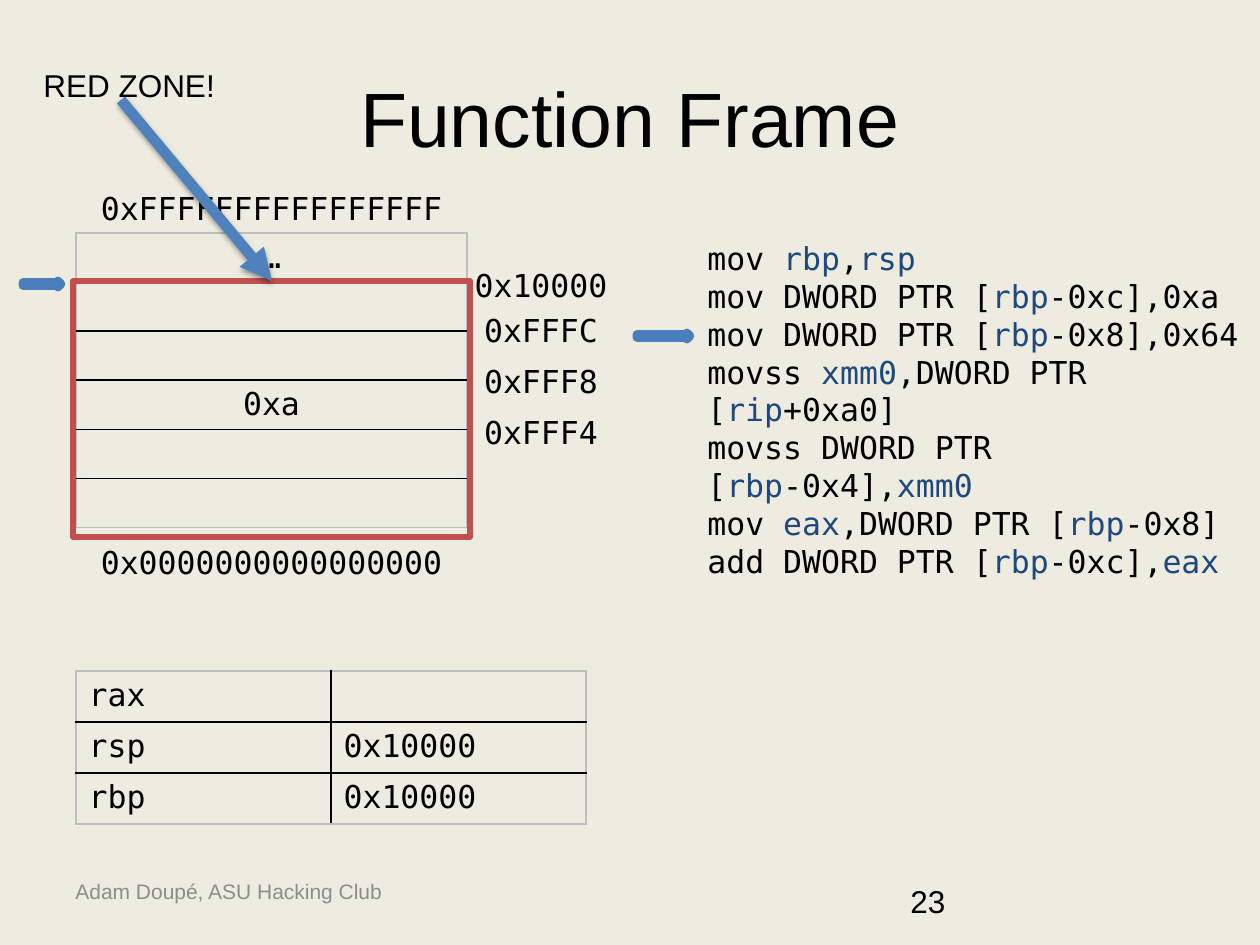
"""Build the Function Frame slide: stack, registers and assembly code."""
import pptx
import pptx.util
import pptx.dml.color
import pptx.enum.shapes
import pptx.enum.text
import pptx.oxml
import pptx.oxml.ns

PX = 914400 / 126
MONO = "DejaVu Sans Mono"
BLACK = "000000"
MID = pptx.enum.text.MSO_ANCHOR.MIDDLE
LEFT = pptx.enum.text.PP_ALIGN.LEFT
CENTER = pptx.enum.text.PP_ALIGN.CENTER
SHAPE = pptx.enum.shapes.MSO_SHAPE
NS = pptx.oxml.ns.nsdecls("a")


def rgb(code):
    return pptx.dml.color.RGBColor.from_string(code)


def write(frame, lines, size=18, face=MONO, color=BLACK, align=LEFT):
    frame.word_wrap = True
    for i, line in enumerate(lines):
        para = frame.add_paragraph() if i else frame.paragraphs[0]
        para.alignment = align
        para.font.size = pptx.util.Pt(size)
        para.font.name = face
        para.font.color.rgb = rgb(color)
        for j, part in enumerate(line.split("|")):
            run = para.add_run()
            run.text = part
            if j % 2:
                run.font.color.rgb = rgb("1F497D")


deck = pptx.Presentation()
deck.slide_width = int(1260 * PX)
deck.slide_height = int(945 * PX)
slide = deck.slides.add_slide(deck.slide_layouts[5])
slide.background.fill.solid()
slide.background.fill.fore_color.rgb = rgb("EEECE1")
shapes = slide.shapes

title = shapes.title
title.left, title.top, title.width, title.height = [
    int(n * PX) for n in (63, 38, 1134, 157)]
title.text_frame.vertical_anchor = MID
write(title.text_frame, ["Function Frame"], 44, "Arial", align=CENTER)

stack = [["…"], [""], [""], ["0xa"], [""], [""]]
regs = [["rax", ""], ["rsp", "0x10000"], ["rbp", "0x10000"]]
for rows, top, wide, high, align in [
        (stack, 233, 391, 49, CENTER), (regs, 671, 255, 51, LEFT)]:
    down, across = len(rows), len(rows[0])
    table = shapes.add_table(
        down, across, *[int(n * PX) for n in (76, top, wide * across, high * down)]).table
    table.first_row = table.horz_banding = False
    for col in table.columns:
        col.width = int(wide * PX)
    for r, row in enumerate(rows):
        table.rows[r].height = int(high * PX)
        for c, text in enumerate(row):
            cell = table.cell(r, c)
            write(cell.text_frame, [text], align=align)
            cell.fill.background()
            edges = {"lnL": c == 0, "lnR": c == across - 1,
                     "lnT": r == 0, "lnB": r == down - 1}
            for i, (side, outer) in enumerate(edges.items()):
                tint = "BFBFBF" if outer else BLACK
                cell._tc.get_or_add_tcPr().insert(i, pptx.oxml.parse_xml(
                    f'<a:{side} {NS} w="12700"><a:solidFill><a:srgbClr val="{tint}"/>'
                    f'</a:solidFill></a:{side}>'))

code = ["mov |rbp|,|rsp",
        "mov DWORD PTR [|rbp|-0xc],0xa",
        "mov DWORD PTR [|rbp|-0x8],0x64",
        "movss |xmm0|,DWORD PTR [|rip|+0xa0]",
        "movss DWORD PTR [|rbp|-0x4],|xmm0",
        "mov |eax|,DWORD PTR [|rbp|-0x8]",
        "add DWORD PTR [|rbp|-0xc],|eax"]
for lines, left, top, wide, high, size, face, color, align in [
        (["Adam Doupé, ASU Hacking Club"], 63, 872, 537, 40, 12, "Arial", "8C8C8C", LEFT),
        (["23"], 898, 876, 294, 50, 18, "Arial", BLACK, LEFT),
        (["0xFFFFFFFFFFFFFFFF"], 76, 183, 391, 50, 18, MONO, BLACK, CENTER),
        (["0x0000000000000000"], 76, 537, 391, 50, 18, MONO, BLACK, CENTER),
        (["0x10000"], 396, 260, 290, 50, 18, MONO, BLACK, CENTER),
        (["0xFFFC"], 396, 305, 290, 50, 18, MONO, BLACK, CENTER),
        (["0xFFF8"], 396, 356, 290, 50, 18, MONO, BLACK, CENTER),
        (["0xFFF4"], 396, 407, 290, 50, 18, MONO, BLACK, CENTER),
        (code, 695, 233, 565, 280, 18, MONO, BLACK, LEFT),
        (["RED ZONE!"], 31, 60, 323, 50, 18, "Arial", BLACK, LEFT)]:
    box = shapes.add_textbox(*[int(n * PX) for n in (left, top, wide, high)])
    write(box.text_frame, lines, size, face, color, align)

for left, top, wide in [(23, 281, 38), (637, 333, 53)]:
    mark = shapes.add_shape(
        SHAPE.RIGHT_ARROW, *[int(n * PX) for n in (left, top, wide, 6)])
    mark.shadow.inherit = False
    mark.fill.gradient()
    mark.fill.gradient_angle = 90
    for stop, tint in zip(mark.fill.gradient_stops, ["3F80CE", "A4C4FF"]):
        stop.color.rgb = rgb(tint)
    mark.line.color.rgb = rgb("4B7EBC")
    mark.line.width = pptx.util.Pt(5)

zone = shapes.add_shape(SHAPE.RECTANGLE, *[int(n * PX) for n in (73, 281, 397, 256)])
zone.shadow.inherit = False
zone.fill.background()
zone.line.color.rgb = rgb("C0504D")
zone.line.width = pptx.util.Pt(3)

link = shapes.add_connector(
    pptx.enum.shapes.MSO_CONNECTOR.STRAIGHT, *[int(n * PX) for n in (121, 100, 272, 281)])
link.line.color.rgb = rgb("4F81BD")
link.line.width = pptx.util.Pt(6)
link.line._get_or_add_ln().append(
    pptx.oxml.parse_xml(f'<a:tailEnd {NS} type="triangle"/>'))
link._element.spPr.append(pptx.oxml.parse_xml(
    f'<a:effectLst {NS}><a:outerShdw blurRad="40000" dist="20000" dir="5400000" '
    'rotWithShape="0"><a:srgbClr val="000000"><a:alpha val="38000"/></a:srgbClr>'
    '</a:outerShdw></a:effectLst>'))

deck.save("out.pptx")
